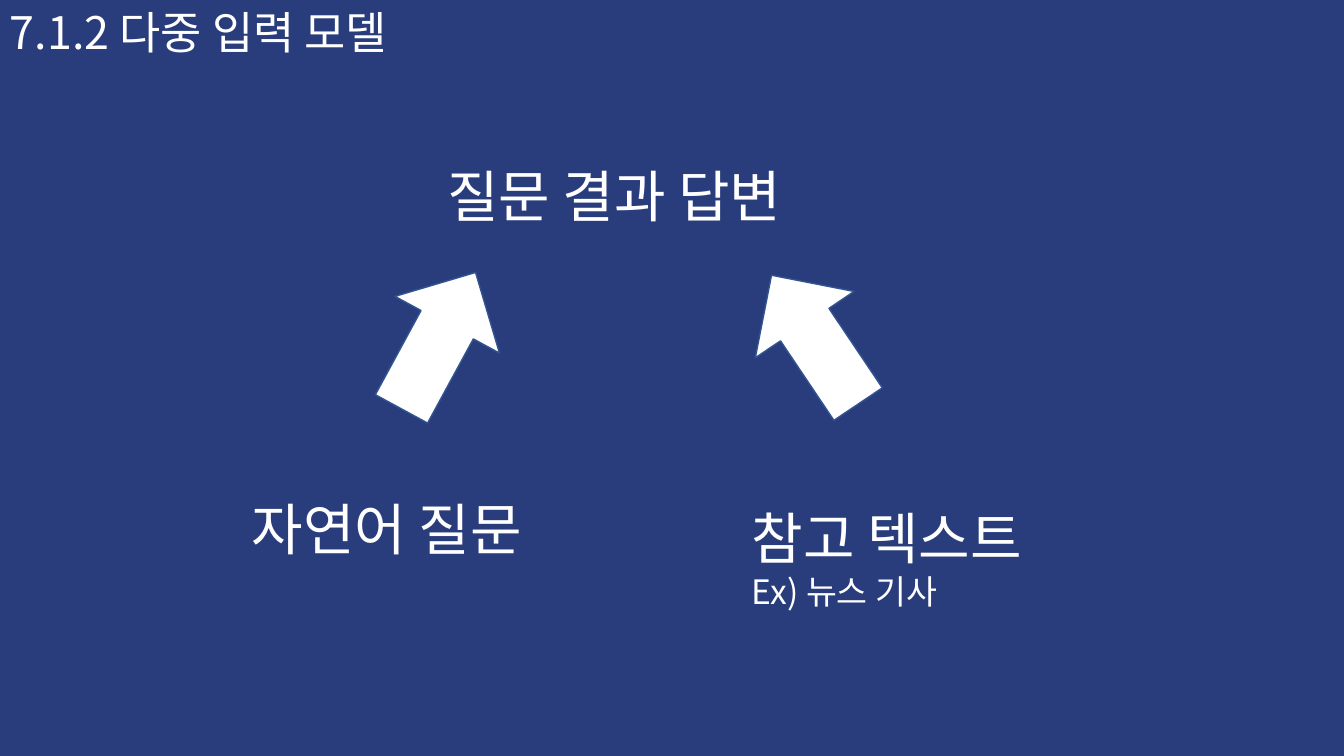
import pptx
import pptx.util
import pptx.dml.color
import pptx.enum.shapes
import pptx.enum.text
import pptx.oxml.ns
import lxml.etree

FACE = "Noto Sans CJK KR"
HUES = {"back": "293D7C", "white": "FFFFFF", "edge": "325491"}


def hue(name):
    return pptx.dml.color.RGBColor.from_string(HUES[name])


deck = pptx.Presentation()
deck.slide_width = pptx.util.Inches(13.33)
deck.slide_height = pptx.util.Inches(7.5)
slide = deck.slides.add_slide(deck.slide_layouts[6])
slide.background.fill.solid()
slide.background.fill.fore_color.rgb = hue("back")


def place(left, top, width, height):
    """Turn percent shares of the slide into lengths."""
    col, row = deck.slide_width / 100, deck.slide_height / 100
    return [round(n) for n in (left * col, top * row, width * col, height * row)]


# Texts: box in percent of the slide, then lines with their sizes
texts = [
    ((0, 0, 45.9, 8.53), [("7.1.2 다중 입력 모델", 32)]),
    ((18, 64.8, 24.53, 10.27), [("자연어 질문", 40)]),
    ((55.2, 66, 24.53, 15.73), [("참고 텍스트", 40), ("Ex) 뉴스 기사", 24)]),
    ((32.55, 20.67, 34.88, 10.27), [("질문 결과 답변", 40)]),
]
for box, lines in texts:
    frame = slide.shapes.add_textbox(*place(*box)).text_frame
    frame.word_wrap = True
    frame.auto_size = pptx.enum.text.MSO_AUTO_SIZE.SHAPE_TO_FIT_TEXT
    for i, (words, size) in enumerate(lines):
        para = frame.add_paragraph() if i else frame.paragraphs[0]
        run = para.add_run()
        run.text = words
        run.font.color.rgb = hue("white")
        for key, value in {"name": FACE, "size": pptx.util.Pt(size)}.items():
            setattr(run.font, key, value)
        # Korean letters take the East Asian face
        east = lxml.etree.SubElement(run.font._element, pptx.oxml.ns.qn("a:ea"))
        east.set("typeface", FACE)

# Arrows from both inputs up to the answer
for left, top, turn, shaft in [(28.2, 34.8, 208.5, 0.5), (56.2, 34.67, 146.1, 0.49)]:
    arrow = slide.shapes.add_shape(
        pptx.enum.shapes.MSO_SHAPE.DOWN_ARROW, *place(left, top, 8.85, 20.53))
    arrow.rotation = turn
    arrow.adjustments[0] = shaft
    arrow.shadow.inherit = False
    arrow.fill.solid()
    arrow.fill.fore_color.rgb = hue("white")
    arrow.line.color.rgb = hue("edge")
    arrow.line.width = pptx.util.Pt(1)

deck.save("out.pptx")
